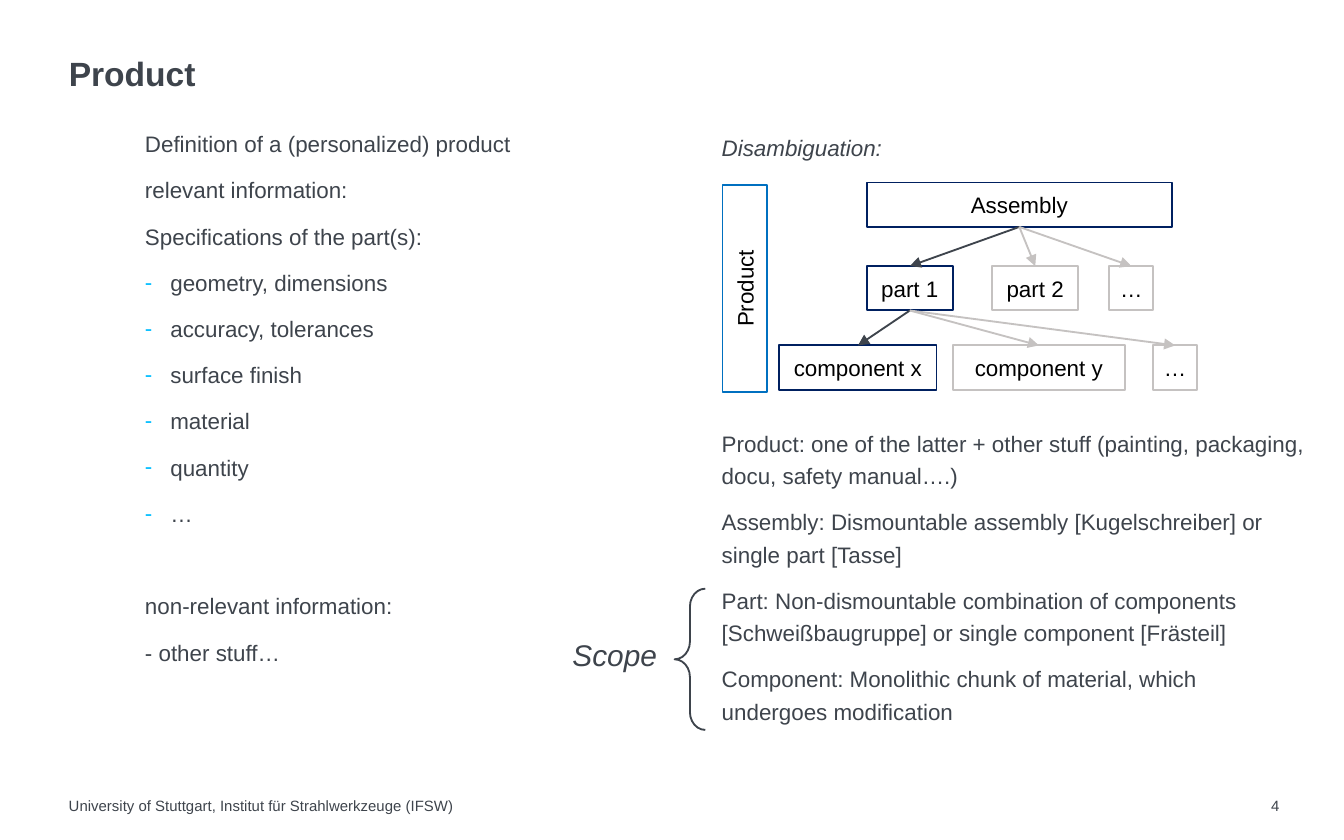
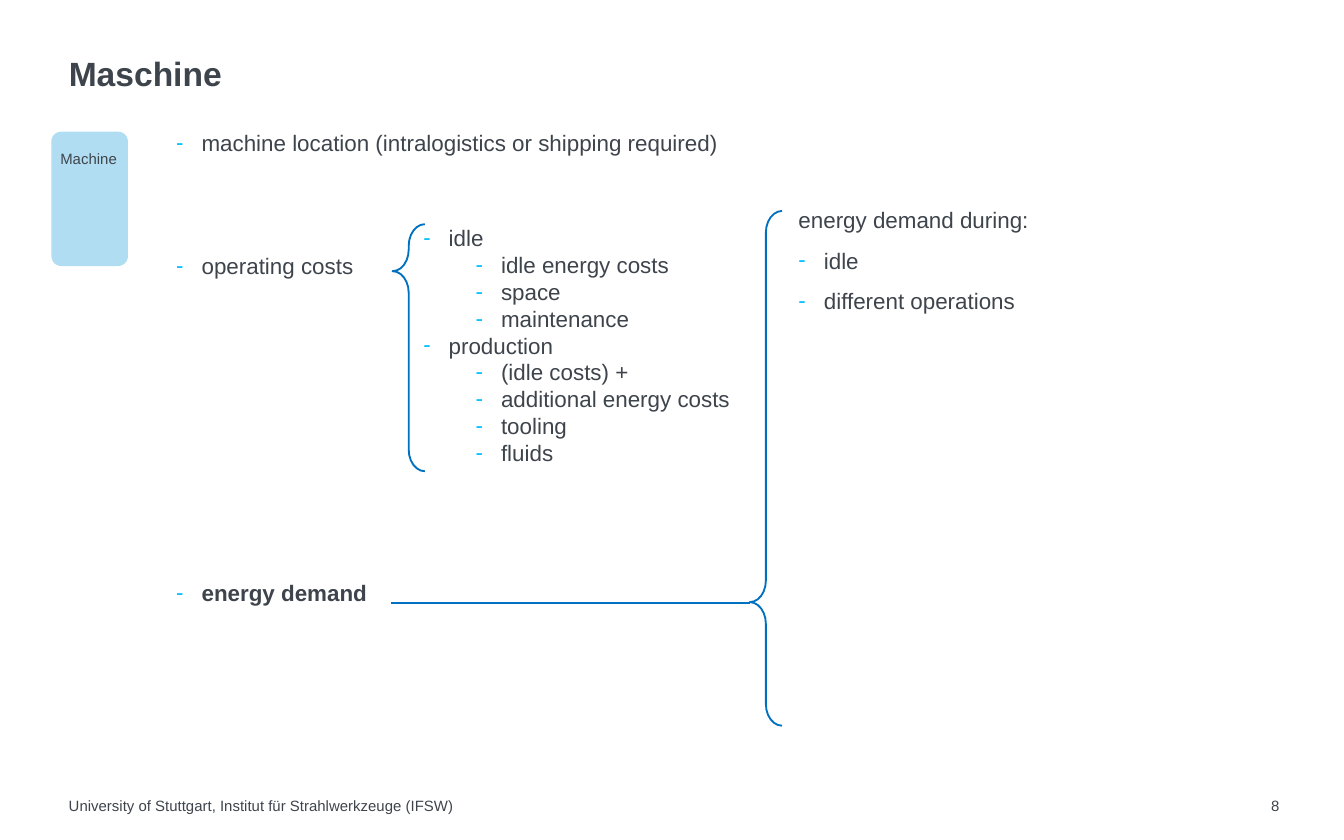
from dataclasses import dataclass
from typing import Optional

from lxml import etree
from pptx import Presentation
from pptx import util as u
from pptx.dml import color
from pptx.enum import shapes, text
from pptx.oxml import ns

FONT = "Arial"
INK = "3E444C"
NAVY = "002060"
GREY = "C5C2C1"
BLUE = "0070C0"
CYAN = "00BEFF"
PALE_BLUE = "B1DDF2"
BLACK = "000000"
GAP = 7.5
INDENT = 0.48
SUB_INDENT = 1.47
FOOTER = "University of Stuttgart, Institut für Strahlwerkzeuge (IFSW)"


@dataclass
class Line:
    words: str
    level: Optional[int] = None
    before: float = GAP
    bold: bool = False


def rgb(value):
    return color.RGBColor.from_string(value)


def cms(*values):
    return [u.Cm(value) for value in values]


def add_xml(parent, tag, **attributes):
    return etree.SubElement(parent, ns.qn(tag), attributes)


def place(holder, area):
    holder.left, holder.top, holder.width, holder.height = cms(*area)


def add_bullet(paragraph, level):
    properties = paragraph._p.get_or_add_pPr()
    if level is None:
        properties.set("marL", "0")
        properties.set("indent", "0")
        add_xml(properties, "a:buNone")
        return
    paragraph.level = level
    properties.set("marL", str(u.Cm((INDENT, SUB_INDENT)[level])))
    properties.set("indent", str(-u.Cm(INDENT)))
    bullet_color = add_xml(properties, "a:buClr")
    add_xml(bullet_color, "a:srgbClr", val=CYAN)
    add_xml(properties, "a:buFont", typeface=FONT)
    add_xml(properties, "a:buChar", char="-")


def write(frame, lines, size=12, ink=INK, italic=False, spacing=1.0,
          align=text.PP_ALIGN.LEFT, anchor=text.MSO_ANCHOR.TOP, insets=(0, 0)):
    frame.word_wrap = True
    frame.auto_size = text.MSO_AUTO_SIZE.NONE
    frame.vertical_anchor = anchor
    frame.margin_left = frame.margin_right = u.Cm(insets[0])
    frame.margin_top = frame.margin_bottom = u.Cm(insets[1])
    frame.text = "\n".join(line.words for line in lines)
    for number, (paragraph, line) in enumerate(zip(frame.paragraphs, lines)):
        paragraph.alignment = align
        paragraph.line_spacing = spacing
        paragraph.space_before = u.Pt(line.before if number else 0)
        add_bullet(paragraph, line.level)
        for run in paragraph.runs:
            run.font.name = FONT
            run.font.size = u.Pt(size)
            run.font.bold = line.bold
            run.font.italic = italic
            run.font.color.rgb = rgb(ink)


def add_label(slide, area, words, **style):
    label = slide.shapes.add_textbox(*cms(*area))
    write(label.text_frame, [Line(words)], **style)


def add_outline(slide, kind, area, line_color):
    outline = slide.shapes.add_shape(kind, *cms(*area))
    outline.shadow.inherit = False
    outline.fill.background()
    outline.line.color.rgb = rgb(line_color)
    outline.line.width = u.Pt(1)
    return outline


def add_box(slide, area, words, line_color):
    box = add_outline(slide, shapes.MSO_SHAPE.RECTANGLE, area, line_color)
    write(box.text_frame, [Line(words)], ink=BLACK,
          align=text.PP_ALIGN.CENTER, anchor=text.MSO_ANCHOR.MIDDLE)
    return box


def add_brace(slide, area, curl, tip, line_color):
    brace = add_outline(slide, shapes.MSO_SHAPE.LEFT_BRACE, area, line_color)
    brace.adjustments[0] = curl
    brace.adjustments[1] = tip


def add_line(slide, ends, line_color):
    line = slide.shapes.add_connector(shapes.MSO_CONNECTOR.STRAIGHT, *cms(*ends))
    line.line.color.rgb = rgb(line_color)
    line.line.width = u.Pt(1)
    add_xml(line._element.spPr, "a:effectLst")
    return line


def add_arrow(slide, parent, child, line_color):
    arrow = add_line(slide, (0, 0, 0, 0), line_color)
    arrow.begin_connect(parent, 2)
    arrow.end_connect(child, 0)
    add_xml(arrow.line._get_or_add_ln(), "a:tailEnd", type="triangle")


def add_children(slide, parent, top, children):
    boxes = []
    for left, width, words, box_color, arrow_color in children:
        child = add_box(slide, (left, top, width, 0.84), words, box_color)
        add_arrow(slide, parent, child, arrow_color)
        boxes.append(child)
    return boxes


def start_slide(deck, title, title_width, number):
    slide = deck.slides.add_slide(deck.slide_layouts[3])
    place(slide.shapes.title, (1.3, 1.09, title_width, 0.97))
    write(slide.shapes.title.text_frame, [Line(title, bold=True)],
          size=18, spacing=0.9)
    add_label(slide, (1.3, 15.06, 16.84, 0.36), FOOTER, size=8)
    add_label(slide, (23.57, 15.06, 0.61, 0.36), str(number), size=8,
              align=text.PP_ALIGN.RIGHT)
    return slide


def fill_body(slide, index, area, lines, **style):
    body = slide.placeholders[index]
    place(body, area)
    write(body.text_frame, lines, **style)


def add_product_slide(deck):
    slide = start_slide(deck, "Product", 22.91, 4)
    fill_body(slide, 1, (2.74, 2.36, 7.09, 12.32), [
        Line("Definition of a (personalized) product"),
        Line("relevant information:"),
        Line("Specifications of the part(s):"),
        Line("geometry, dimensions", 0),
        Line("accuracy, tolerances", 0),
        Line("surface finish", 0),
        Line("material", 0),
        Line("quantity", 0),
        Line("…", 0),
        Line("non-relevant information:", before=32.3),
        Line("- other stuff…"),
    ], spacing=1.2)
    fill_body(slide, 2, (13.64, 8.03, 11.05, 6.68), [
        Line("Product: one of the latter + other stuff "
             "(painting, packaging, docu, safety manual….)"),
        Line("Assembly: Dismountable assembly [Kugelschreiber] "
             "or single part [Tasse]"),
        Line("Part: Non-dismountable combination of components "
             "[Schweißbaugruppe] or single component [Frästeil]"),
        Line("Component: Monolithic chunk of material, "
             "which undergoes modification"),
    ], spacing=1.2)

    add_label(slide, (13.64, 2.44, 3.2, 0.56), "Disambiguation:",
              italic=True, spacing=1.2)
    product = add_box(slide, (12.12, 5.03, 3.91, 0.84), "Product", BLUE)
    product.rotation = 270
    assembly = add_box(slide, (16.38, 3.45, 5.77, 0.84), "Assembly", NAVY)
    parts = add_children(slide, assembly, 5.03, [
        (16.38, 1.63, "part 1", NAVY, INK),
        (18.75, 1.63, "part 2", GREY, GREY),
        (20.96, 0.84, "…", GREY, GREY),
    ])
    add_children(slide, parts[0], 6.53, [
        (14.73, 2.97, "component x", NAVY, INK),
        (18.01, 3.25, "component y", GREY, GREY),
        (21.79, 0.84, "…", GREY, GREY),
    ])

    add_brace(slide, (12.75, 11.13, 0.58, 2.67), 0.58, 0.5, INK)
    add_label(slide, (10.82, 11.91, 1.7, 0.74), "Scope",
              size=16, italic=True, spacing=1.2)


def add_machine_slide(deck):
    slide = start_slide(deck, "Maschine", 4.19, 8)
    machine = slide.shapes.add_shape(shapes.MSO_SHAPE.ROUNDED_RECTANGLE,
                                     *cms(0.97, 2.49, 1.45, 2.54))
    machine.shadow.inherit = False
    machine.fill.solid()
    machine.fill.fore_color.rgb = rgb(PALE_BLUE)
    machine.line.fill.background()
    machine.adjustments[0] = 0.13
    add_label(slide, (1.14, 2.77, 1.15, 0.41), "Machine", size=8, spacing=1.2)

    fill_body(slide, 1, (3.33, 2.44, 10.92, 10.9), [
        Line("machine location (intralogistics or shipping required)", 0),
        Line("operating costs", 0, before=51.4),
        Line("energy demand", 0, before=161.2, bold=True),
    ])
    fill_body(slide, 2, (15.09, 3.89, 9.09, 4.5), [
        Line("energy demand during:"),
        Line("idle", 0),
        Line("different operations", 0),
    ])

    costs = slide.shapes.add_textbox(*cms(7.75, 4.11, 6.43, 4.88))
    write(costs.text_frame, [
        Line("idle", 0, 0),
        Line("idle energy costs", 1, 0),
        Line("space", 1, 0),
        Line("maintenance", 1, 0),
        Line("production", 0, 0),
        Line("(idle costs) +", 1, 0),
        Line("additional energy costs", 1, 0),
        Line("tooling", 1, 0),
        Line("fluids", 1, 0),
    ], insets=(0.25, 0.13))

    add_brace(slide, (7.42, 4.24, 0.61, 4.67), 0.67, 0.19, BLUE)
    add_brace(slide, (14.17, 3.99, 0.61, 9.73), 0.67, 0.76, BLUE)
    add_line(slide, (7.39, 11.4, 14.17, 11.4), BLUE)


def main():
    deck = Presentation()
    deck.slide_width, deck.slide_height = cms(25.4, 15.88)
    add_product_slide(deck)
    add_machine_slide(deck)
    deck.save("out.pptx")


if __name__ == "__main__":
    main()
